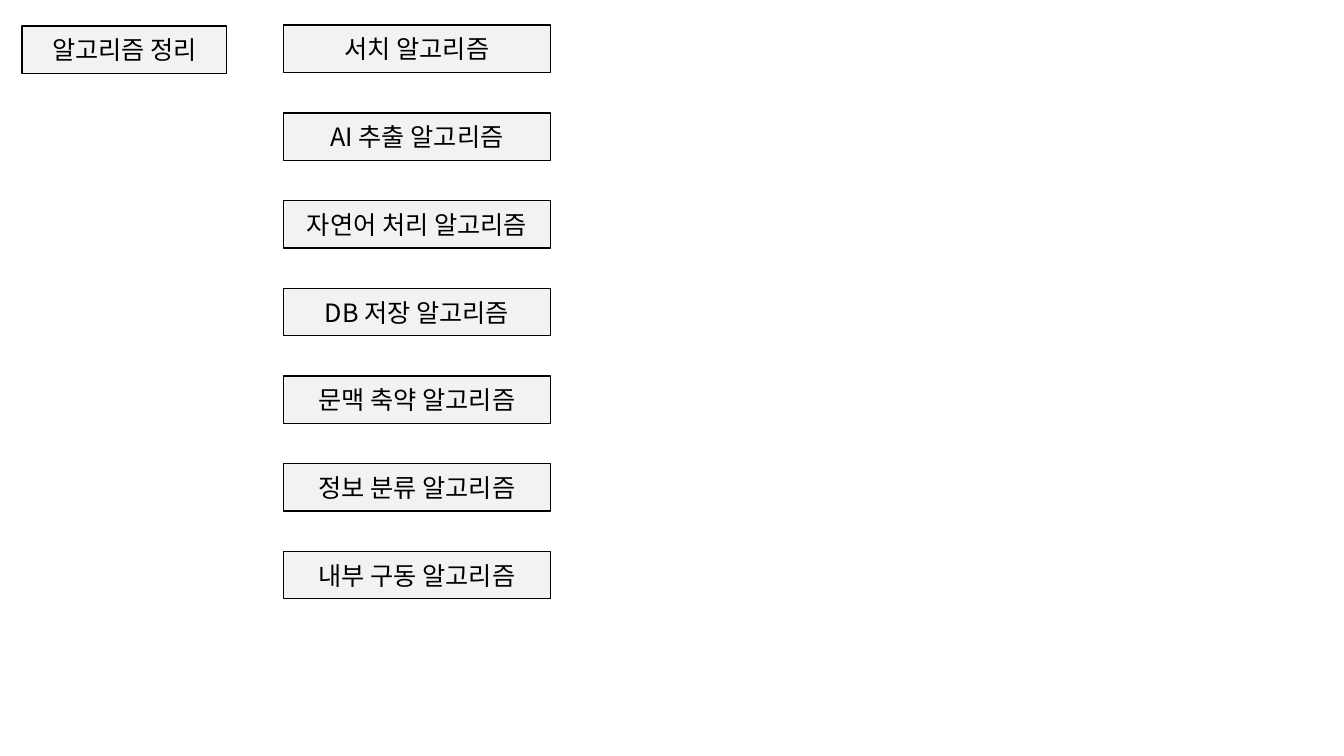
import pptx
import pptx.util
import pptx.dml.color
import pptx.enum.shapes
import pptx.enum.text
import pptx.oxml.ns
import lxml.etree
from dataclasses import dataclass

Inches = pptx.util.Inches


@dataclass(frozen=True)
class Theme:
    font: str = "Noto Sans CJK KR"
    size: int = 18
    ink: str = "000000"
    box: str = "F2F2F2"
    outline: int = 1


theme = Theme()
color = pptx.dml.color.RGBColor.from_string


def add_box(slide, text, *, left, top, width, height=0.47):
    shape = slide.shapes.add_shape(
        pptx.enum.shapes.MSO_SHAPE.RECTANGLE,
        Inches(left), Inches(top), Inches(width), Inches(height),
    )
    shape.shadow.inherit = False
    shape.fill.solid()
    shape.fill.fore_color.rgb = color(theme.box)
    shape.line.color.rgb = color(theme.ink)
    shape.line.width = pptx.util.Pt(theme.outline)
    shape.text_frame.word_wrap = True
    shape.text_frame.vertical_anchor = pptx.enum.text.MSO_ANCHOR.MIDDLE
    paragraph = shape.text_frame.paragraphs[0]
    paragraph.alignment = pptx.enum.text.PP_ALIGN.CENTER
    run = paragraph.add_run()
    run.text = text
    run.font.size = pptx.util.Pt(theme.size)
    run.font.color.rgb = color(theme.ink)
    run.font.name = theme.font
    east_asian = lxml.etree.SubElement(run.font._element, pptx.oxml.ns.qn("a:ea"))
    east_asian.set("typeface", theme.font)


presentation = pptx.Presentation()
presentation.slide_width = Inches(13.33)
presentation.slide_height = Inches(7.5)
slide = presentation.slides.add_slide(presentation.slide_layouts[6])

add_box(slide, "알고리즘 정리", left=0.22, top=0.26, width=2.03)

algorithms = ["서치", "AI 추출", "자연어 처리", "DB 저장", "문맥 축약", "정보 분류", "내부 구동"]
first_top = 0.25
row_pitch = 0.87
for row, algorithm in enumerate(algorithms):
    add_box(slide, f"{algorithm} 알고리즘", left=2.81, top=first_top + row * row_pitch, width=2.65)

presentation.save("out.pptx")
